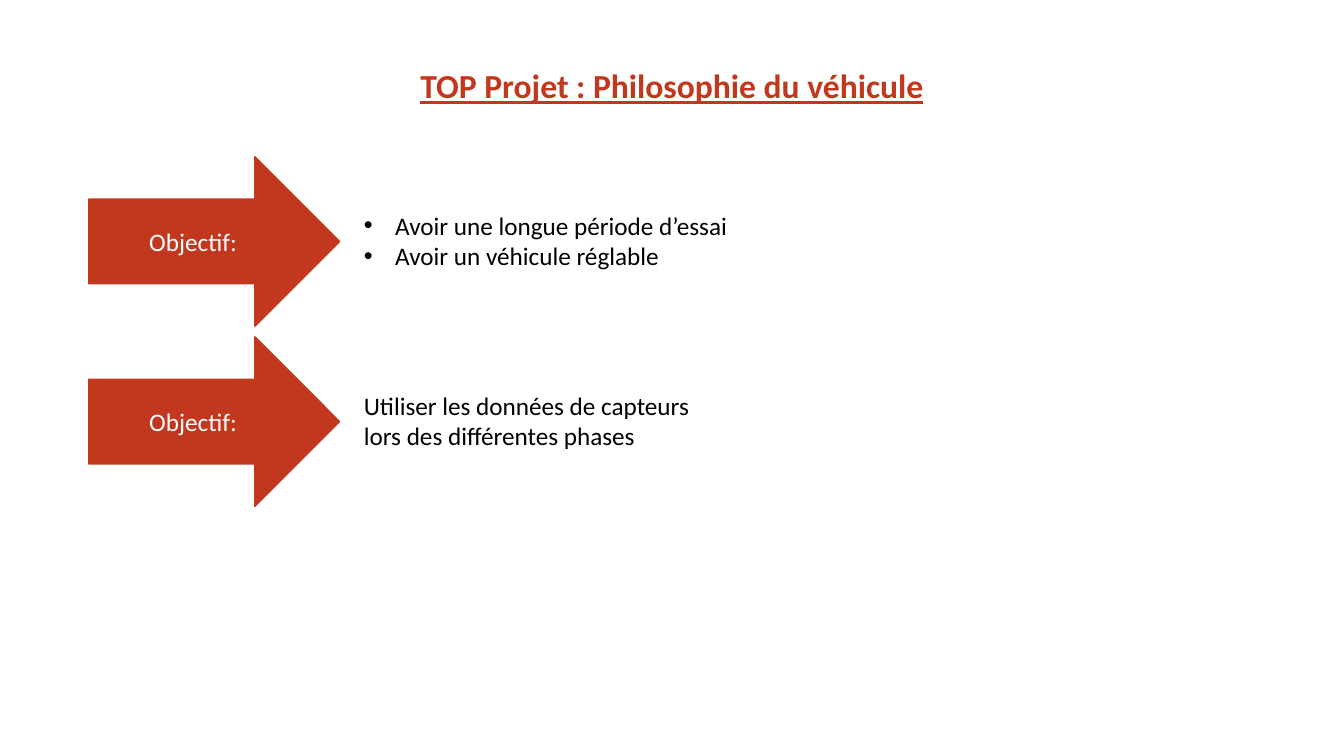
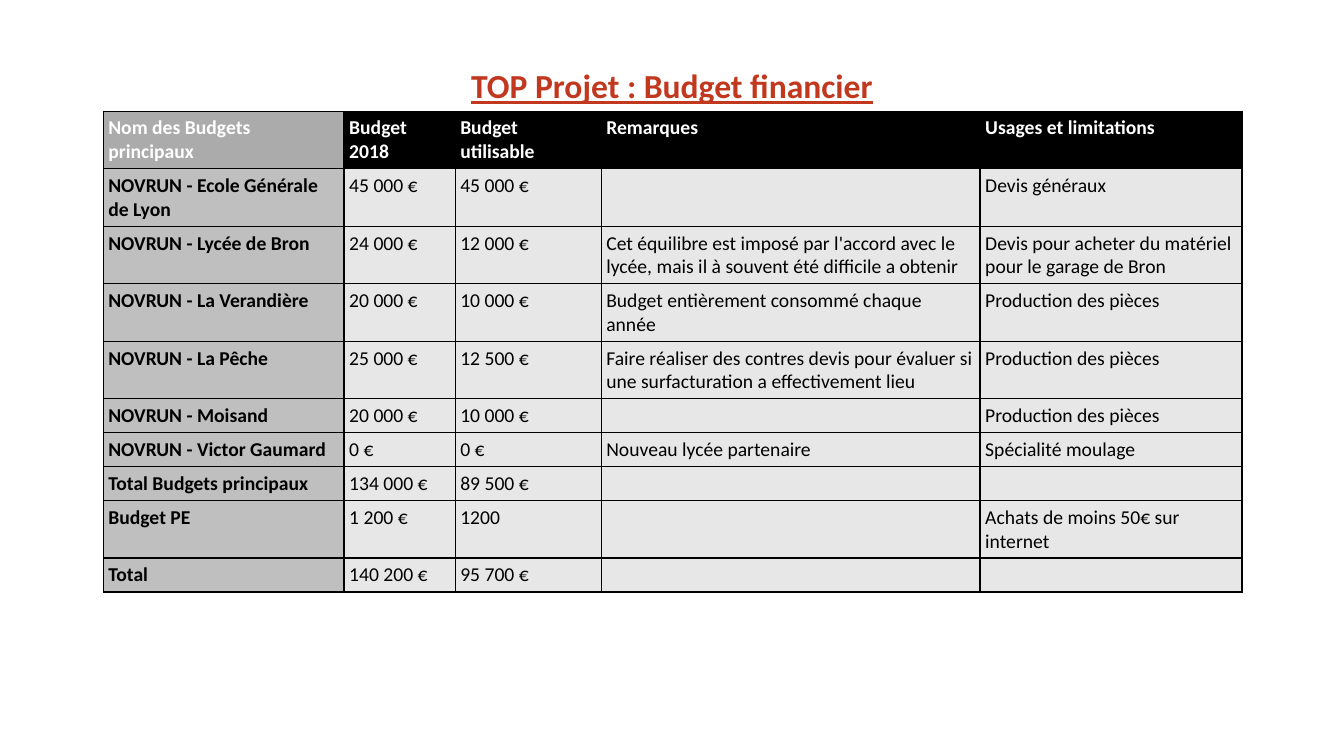
from lxml import etree
from pptx import Presentation
from pptx import util as u
from pptx.dml import color as clr
from pptx.enum import shapes, text
from pptx.oxml import ns

RED, BLACK, WHITE = "C2381E", "000000", "FFFFFF"
HEAD, SIDE, BODY = "ABABAB", "BFBFBF", "E7E7E7"
WIDE, HIGH = 33.87, 19.05
MID = text.PP_ALIGN.CENTER
TITLE = {"size": u.Pt(24), "bold": True, "underline": True}
PLAIN = {"size": u.Pt(18)}
CELL = {"size": u.Pt(14)}

GOALS = [
    (["Avoir une longue période d’essai", "Avoir un véhicule réglable"], 10, True),
    (["Utiliser les données de capteurs lors des différentes phases"], 9, False),
]
COLS = [6.07, 2.8, 3.68, 9.55, 6.6]
TALL, SHORT = 1.45, 0.85
ROWS = [
    (TALL, ["Nom des Budgets principaux", "Budget 2018", "Budget utilisable",
            "Remarques", "Usages et limitations"]),
    (TALL, ["NOVRUN - Ecole Générale de Lyon", "45 000 €", "45 000 €", "",
            "Devis généraux"]),
    (TALL, ["NOVRUN - Lycée de Bron", "24 000 €", "12 000 €",
            "Cet équilibre est imposé par l'accord avec le lycée, "
            "mais il à souvent été difficile a obtenir",
            "Devis pour acheter du matériel pour le garage de Bron"]),
    (TALL, ["NOVRUN - La Verandière", "20 000 €", "10 000 €",
            "Budget entièrement consommé chaque année", "Production des pièces"]),
    (TALL, ["NOVRUN - La Pêche", "25 000 €", "12 500 €",
            "Faire réaliser des contres devis pour évaluer si "
            "une surfacturation a effectivement lieu", "Production des pièces"]),
    (SHORT, ["NOVRUN - Moisand", "20 000 €", "10 000 €", "", "Production des pièces"]),
    (SHORT, ["NOVRUN - Victor Gaumard", "0 €", "0 €", "Nouveau lycée partenaire",
             "Spécialité moulage"]),
    (SHORT, ["Total Budgets principaux", "134 000 €", "89 500 €", "", ""]),
    (TALL, ["Budget PE", "1 200 €", "1200", "", "Achats de moins 50€ sur internet"]),
    (SHORT, ["Total", "140 200 €", "95 700 €", "", ""]),
]


def rgb(hexa):
    return clr.RGBColor.from_string(hexa)


def cms(*vals):
    return [u.Cm(v) for v in vals]


def put(obj, vals):
    for key, val in vals.items():
        setattr(obj, key, val)


def paint(fill, hexa):
    fill.solid()
    fill.fore_color.rgb = rgb(hexa)


def write(frame, lines, style, hexa, align=text.PP_ALIGN.LEFT):
    frame.word_wrap = True
    for num, line in enumerate(lines):
        para = frame.add_paragraph() if num else frame.paragraphs[0]
        para.alignment = align
        run = para.add_run()
        run.text = line
        put(run.font, {"name": "Calibri", **style})
        run.font.color.rgb = rgb(hexa)


def bullet(para):
    props = para._p.get_or_add_pPr()
    put_in = {"marL": str(u.Cm(0.79)), "indent": str(-u.Cm(0.79))}
    for key, val in put_in.items():
        props.set(key, val)
    etree.SubElement(props, ns.qn("a:buFont"), typeface="Arial")
    etree.SubElement(props, ns.qn("a:buChar"), char="•")


def edge(cell, hexa):
    props = cell._tc.get_or_add_tcPr()
    for side in ("lnL", "lnR", "lnT", "lnB"):
        line = etree.SubElement(props, ns.qn("a:" + side), w=str(u.Pt(1)))
        solid = etree.SubElement(line, ns.qn("a:solidFill"))
        etree.SubElement(solid, ns.qn("a:srgbClr"), val=hexa)


def start(deck, title):
    slide = deck.slides.add_slide(deck.slide_layouts[6])
    box = slide.shapes.add_textbox(*cms(0, 1.52, WIDE, 1.27))
    write(box.text_frame, [title], TITLE, RED, MID)
    return slide


def goal(slide, left, top, lines, width, dots):
    arrow = slide.shapes.add_shape(
        shapes.MSO_SHAPE.RIGHT_ARROW, *cms(left, top, 6.32, 4.27))
    arrow.shadow.inherit = False
    paint(arrow.fill, RED)
    paint(arrow.line.fill, RED)
    arrow.line.width = u.Pt(1)
    arrow.text_frame.vertical_anchor = text.MSO_ANCHOR.MIDDLE
    write(arrow.text_frame, ["Objectif:"], PLAIN, WHITE, MID)
    note = slide.shapes.add_textbox(*cms(left + 6.68, top + 1.22, width, 1.8))
    write(note.text_frame, lines, PLAIN, BLACK)
    if dots:
        for para in note.text_frame.paragraphs:
            bullet(para)


def budget(slide, left, top):
    size = sum(COLS), sum(high for high, _ in ROWS)
    grid = slide.shapes.add_table(
        len(ROWS), len(COLS), *cms(left, top, *size)).table
    for col, wide in zip(grid.columns, COLS):
        col.width = u.Cm(wide)
    for row, (high, words) in enumerate(ROWS):
        grid.rows[row].height = u.Cm(high)
        for col, word in enumerate(words):
            cell = grid.cell(row, col)
            edge(cell, BLACK)
            if row == 0:
                tint = BLACK if col else HEAD
            else:
                tint = BODY if col else SIDE
            paint(cell.fill, tint)
            gap = u.Cm(0.13 if word else 0)
            put(cell, {"margin_" + side: gap
                       for side in ("left", "right", "top", "bottom")})
            if word:
                bold = row == 0 or col == 0
                write(cell.text_frame, [word], {**CELL, "bold": bold},
                      BLACK if row else WHITE)


def main():
    deck = Presentation()
    put(deck, {"slide_width": u.Cm(WIDE), "slide_height": u.Cm(HIGH)})
    slide = start(deck, "TOP Projet : Philosophie du véhicule")
    for num, item in enumerate(GOALS):
        goal(slide, 2.24, 3.95 + num * 4.54, *item)
    slide = start(deck, "TOP Projet : Budget financier")
    budget(slide, 2.6, 2.8)
    deck.save("out.pptx")


if __name__ == "__main__":
    main()
